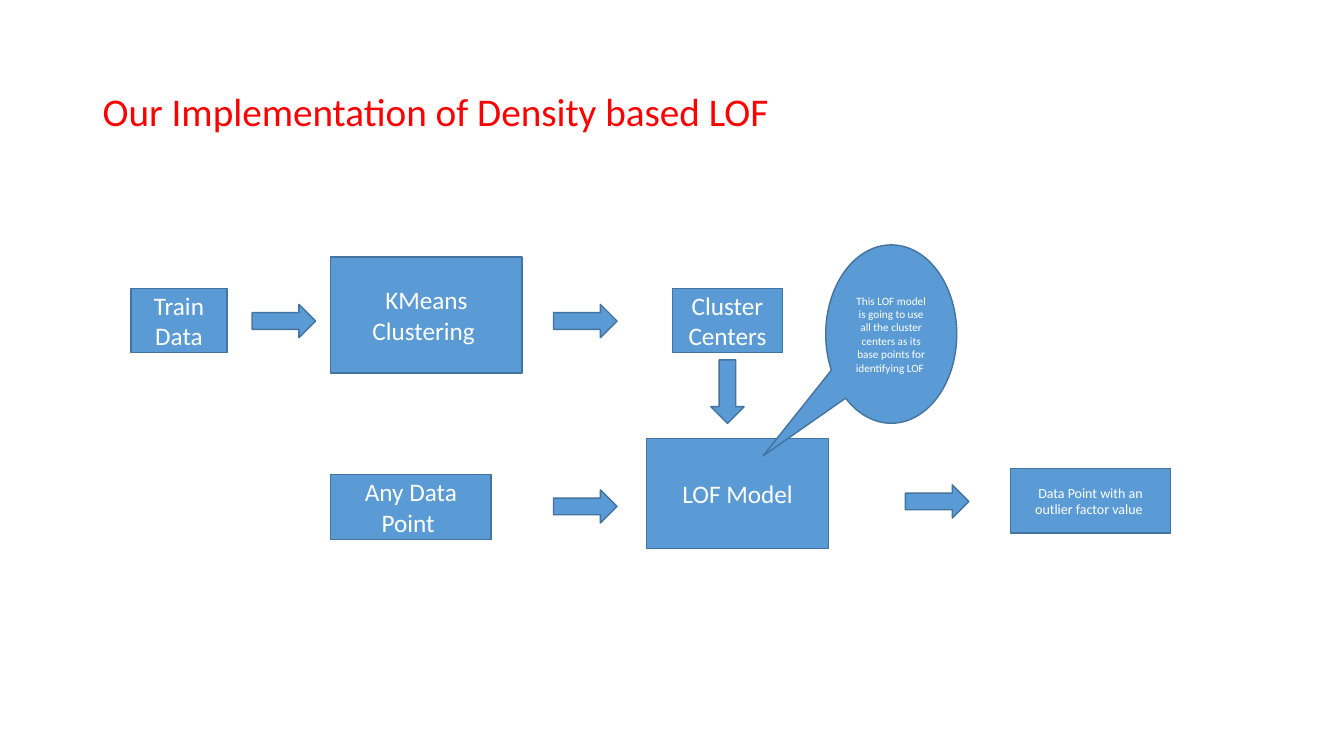
"""Build the slide showing a density based LOF pipeline."""
from dataclasses import dataclass

from pptx import Presentation
from pptx.dml.color import RGBColor
from pptx.enum.shapes import MSO_SHAPE
from pptx.enum.text import MSO_ANCHOR, PP_ALIGN
from pptx.shapes.autoshape import Shape
from pptx.slide import Slide
from pptx.util import Inches, Pt


@dataclass(frozen=True)
class Theme:
    font: str = "Calibri"
    title_color: RGBColor = RGBColor(0xFF, 0x00, 0x00)
    fill: RGBColor = RGBColor(0x5B, 0x9B, 0xD5)
    outline: RGBColor = RGBColor(0x43, 0x73, 0x9E)
    text: RGBColor = RGBColor(0xFF, 0xFF, 0xFF)
    title_size: int = 28
    step_size: int = 18
    result_size: int = 10
    callout_size: int = 8
    outline_width: int = 1


THEME = Theme()
ARROW_WIDTH, ARROW_HEIGHT = 0.63, 0.33


@dataclass(frozen=True)
class Step:
    text: str
    left: float
    top: float
    width: float
    height: float
    size: int = THEME.step_size
    kind: MSO_SHAPE = MSO_SHAPE.RECTANGLE
    adjustments: tuple[float, ...] = ()


@dataclass(frozen=True)
class Arrow:
    left: float
    top: float
    rotation: int = 0


STEPS = (
    Step("KMeans Clustering ", 3.28, 2.55, 1.9, 1.15),
    Step("Train Data", 1.3, 2.86, 0.95, 0.64),
    Step("LOF Model", 6.41, 4.35, 1.81, 1.09),
    Step("Cluster Centers", 6.67, 2.86, 1.09, 0.64),
    Step("Any Data Point ", 3.28, 4.71, 1.59, 0.64),
    Step("This LOF model is going to use all the cluster centers as its base points "
         "for identifying LOF ", 8.19, 2.43, 1.3, 1.77, THEME.callout_size,
         MSO_SHAPE.OVAL_CALLOUT, (-0.979, 0.683)),
    Step("Data Point with an outlier factor value ", 10.02, 4.65, 1.59, 0.64,
         THEME.result_size),
)
ARROWS = (
    Arrow(2.5, 3.02),
    Arrow(5.49, 3.02),
    Arrow(6.9, 3.72, rotation=90),
    Arrow(5.49, 4.86),
    Arrow(8.98, 4.81),
)


def write_text(shape: Shape, text: str, *, size: int, color: RGBColor,
               align: PP_ALIGN = PP_ALIGN.CENTER, line_spacing: float = 1.0) -> None:
    """Write one formatted, vertically centred paragraph into a shape."""
    frame = shape.text_frame
    frame.word_wrap = True
    frame.vertical_anchor = MSO_ANCHOR.MIDDLE
    paragraph = frame.paragraphs[0]
    paragraph.alignment = align
    paragraph.line_spacing = line_spacing
    run = paragraph.add_run()
    run.text = text
    run.font.name = THEME.font
    run.font.size = Pt(size)
    run.font.color.rgb = color


def add_block(slide: Slide, kind: MSO_SHAPE, left: float, top: float,
              width: float, height: float) -> Shape:
    """Add a filled and outlined preset shape."""
    shape = slide.shapes.add_shape(
        kind, Inches(left), Inches(top), Inches(width), Inches(height))
    shape.shadow.inherit = False
    shape.fill.solid()
    shape.fill.fore_color.rgb = THEME.fill
    shape.line.color.rgb = THEME.outline
    shape.line.width = Pt(THEME.outline_width)
    return shape


def add_step(slide: Slide, step: Step) -> None:
    """Draw a labelled step of the pipeline."""
    shape = add_block(slide, step.kind, step.left, step.top, step.width, step.height)
    for index, value in enumerate(step.adjustments):
        shape.adjustments[index] = value
    write_text(shape, step.text, size=step.size, color=THEME.text)


def add_arrow(slide: Slide, arrow: Arrow) -> None:
    """Draw a block arrow between two steps."""
    shape = add_block(slide, MSO_SHAPE.RIGHT_ARROW, arrow.left, arrow.top,
                      ARROW_WIDTH, ARROW_HEIGHT)
    shape.rotation = arrow.rotation


def main() -> None:
    """Create the presentation and save it."""
    presentation = Presentation()
    presentation.slide_width = Inches(13.33)
    presentation.slide_height = Inches(7.5)
    slide = presentation.slides.add_slide(presentation.slide_layouts[6])
    title = slide.shapes.add_textbox(Inches(0.92), Inches(0.4), Inches(11.5), Inches(1.45))
    write_text(title, "Our Implementation of Density based LOF", size=THEME.title_size,
               color=THEME.title_color, align=PP_ALIGN.LEFT, line_spacing=0.9)
    for step in STEPS:
        add_step(slide, step)
    for arrow in ARROWS:
        add_arrow(slide, arrow)
    presentation.save("out.pptx")


if __name__ == "__main__":
    main()
